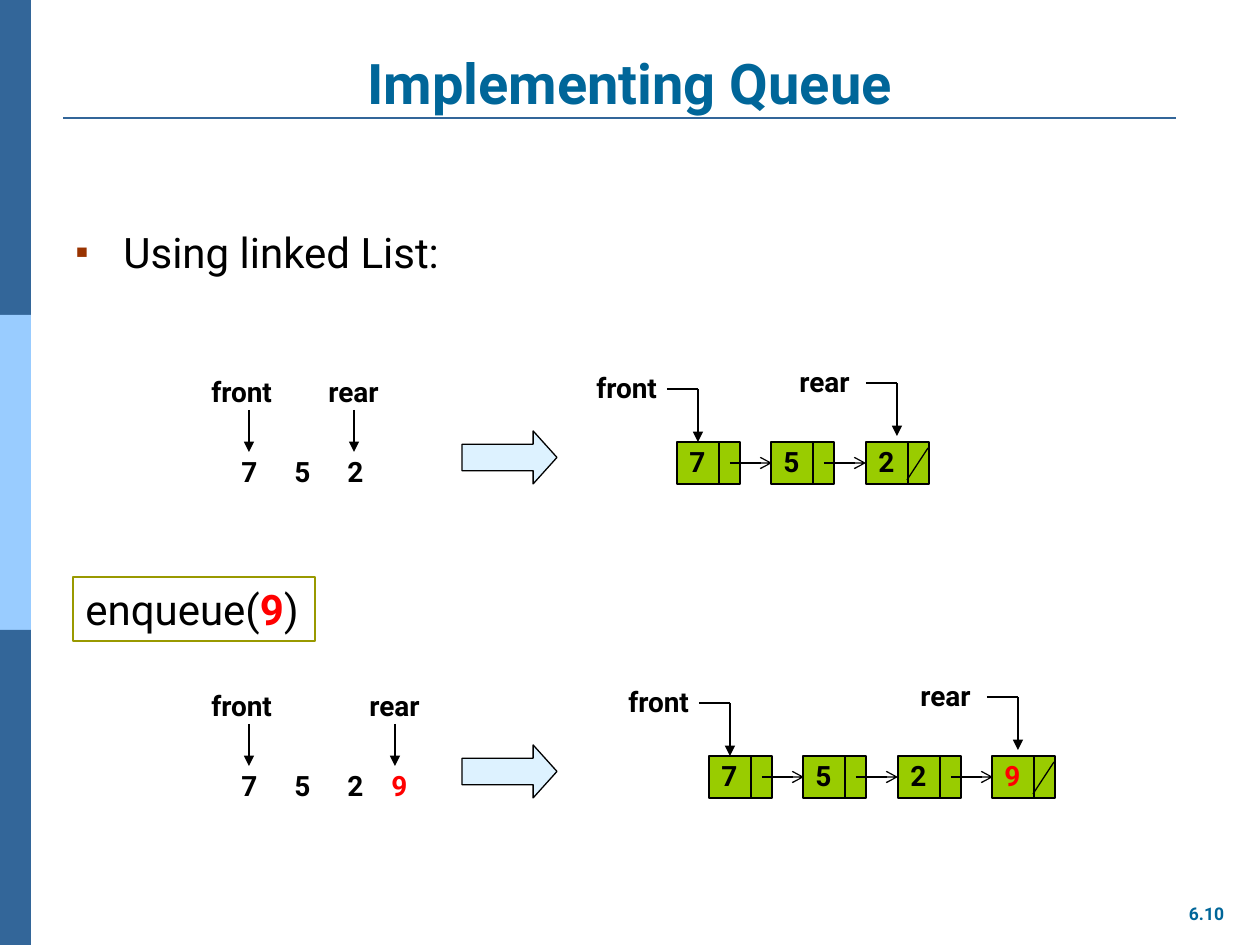
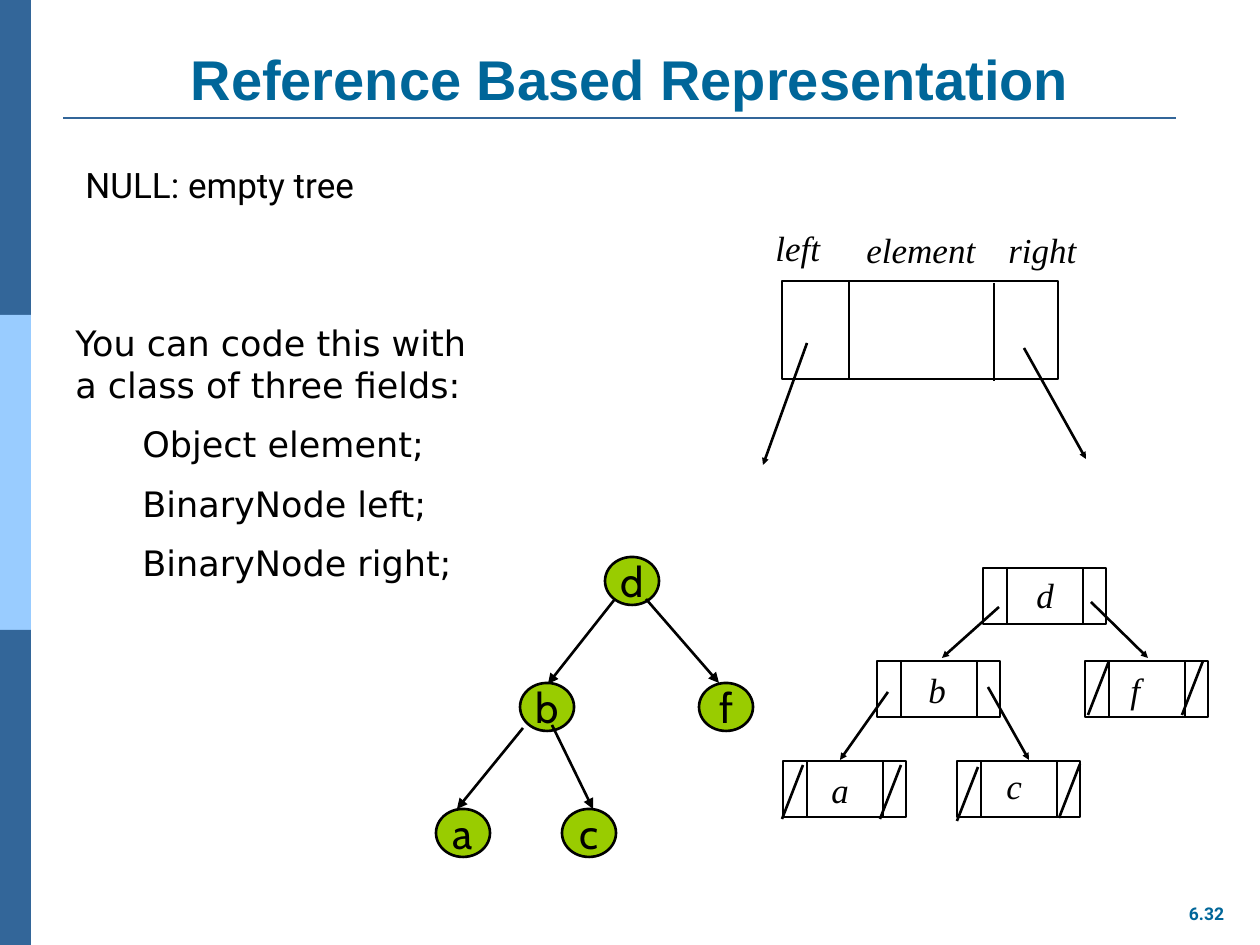
from dataclasses import dataclass
from lxml.etree import SubElement
from pptx import Presentation
from pptx.dml.color import RGBColor
from pptx.enum.shapes import MSO_CONNECTOR, MSO_SHAPE
from pptx.enum.text import MSO_ANCHOR, PP_ALIGN
from pptx.oxml.ns import qn
from pptx.util import Emu, Pt


@dataclass(frozen=True)
class Theme:
    navy: str = "336699"
    sky: str = "99CCFF"
    teal: str = "006699"
    green: str = "99CC00"
    olive: str = "999900"
    pale: str = "DDF2FF"
    rust: str = "993300"
    red: str = "FF0000"
    black: str = "000000"
    sans: str = "Roboto"
    plain: str = "Arial"
    serif: str = "Times New Roman"
    round: str = "Cabin"
    wide: str = "DejaVu Sans"
    title: int = 32
    body: int = 24
    note: int = 20
    label: int = 16
    page: int = 10
    thin: float = 0.75
    thick: float = 1.5


T = Theme()


def px(n):
    return Emu(round(n * 914400 / 126))


def rgb(code):
    return RGBColor.from_string(code)


def style(font, size, face=T.sans, color=T.black, bold=False, italic=False):
    font.size, font.name = Pt(size), face
    font.color.rgb = rgb(color)
    font.bold, font.italic = bold, italic


def text(slide, x, y, w, h, words, size, wrap=False, align=PP_ALIGN.LEFT,
         anchor=MSO_ANCHOR.TOP, **look):
    frame = slide.shapes.add_textbox(px(x), px(y), px(w), px(h)).text_frame
    frame.word_wrap = wrap
    frame.vertical_anchor = anchor
    para = frame.paragraphs[0]
    para.text, para.alignment = words, align
    style(para.font, size, **look)
    return frame


def shape(slide, kind, x, y, w, h, fill=None, line=T.black, width=T.thin):
    item = slide.shapes.add_shape(kind, px(x), px(y), px(w), px(h))
    item.shadow.inherit = False
    if fill:
        item.fill.solid()
        item.fill.fore_color.rgb = rgb(fill)
    else:
        item.fill.background()
    if line:
        item.line.color.rgb = rgb(line)
        item.line.width = Pt(width)
    else:
        item.line.fill.background()
    return item


def rule(slide, x1, y1, x2, y2, width=T.thin, color=T.black, head=None, size="med"):
    item = slide.shapes.add_connector(
        MSO_CONNECTOR.STRAIGHT, px(x1), px(y1), px(x2), px(y2))
    item.line.color.rgb = rgb(color)
    item.line.width = Pt(width)
    if head:
        SubElement(item.line._ln, qn("a:tailEnd"), type=head, w=size, len=size)
    SubElement(item._element.spPr, qn("a:effectLst"))


def rays(slide, x, y, ends, size):
    for x1, y1, x2, y2 in ends:
        rule(slide, x + x1, y + y1, x + x2, y + y2, T.thick, head="triangle", size=size)


def base(deck, title, page, top, high, face=T.sans):
    slide = deck.slides.add_slide(deck.slide_layouts[6])
    for i, color in enumerate((T.navy, T.sky, T.navy)):
        shape(slide, MSO_SHAPE.RECTANGLE, 0, 315 * i, 31, 315, color, None)
    rule(slide, 63, 118, 1176, 118, T.thick, T.navy)
    text(slide, 1176, 897, 61, 34, page, T.page, align=PP_ALIGN.CENTER,
         color=T.teal, bold=True)
    text(slide, 63, top, 1134, high, title, T.title, True, PP_ALIGN.CENTER,
         MSO_ANCHOR.BOTTOM, face=face, color=T.teal, bold=True)
    return slide


def bullet(slide, x, y, w, h, words):
    frame = slide.shapes.add_textbox(px(x), px(y), px(w), px(h)).text_frame
    frame.word_wrap = True
    para = frame.paragraphs[0]
    para.text = words
    props = para._p.get_or_add_pPr()
    props.set("marL", str(px(48)))
    props.set("indent", str(px(-48)))
    color = SubElement(props, qn("a:buClr"))
    SubElement(color, qn("a:srgbClr"), val=T.rust)
    SubElement(props, qn("a:buSzPct"), val="90000")
    SubElement(props, qn("a:buFont"), typeface=T.plain)
    SubElement(props, qn("a:buChar"), char="▪")
    style(para.font, T.body)


def label(slide, x, y, words, w=89):
    color = T.red if words == "9" else T.black
    text(slide, x, y, w, 47, words, T.label, color=color, bold=True)


def plain(slide, x, y, vals, rear):
    for word, left, w in (("front", 0, 89), ("rear", rear, 79)):
        label(slide, x + left, y, word, w)
    for tip in (50, rear + 38):
        rule(slide, x + tip, y + 42, x + tip, y + 84, head="triangle")
    for val, left in zip(vals, (30, 83, 136, 180)):
        label(slide, x + left, y + 80, val, 40)


def hook(slide, x, y, word, left, w):
    label(slide, x - left, y - 25, word, w)
    rule(slide, x - 31, y, x, y)
    rule(slide, x, y, x, y + 53, head="triangle")


def linked(slide, x, y, vals, bend):
    for i, val in enumerate(vals):
        left, top = x + 189 * i // 2, y + 74
        shape(slide, MSO_SHAPE.RECTANGLE, left, top, 63, 42, T.green)
        rule(slide, left + 42, top, left + 42, top + 42)
        label(slide, left, top - 4, val, 40)
        if i < len(vals) - 1:
            rule(slide, left + 53, top + 21, left + 95, top + 21, head="arrow")
    rule(slide, left + 62, top + 6, left + 41, top + 38)
    hook(slide, x + 21, y + 21, "front", 114, 89)
    hook(slide, left + bend, y + 15, "rear", 110, 79)


def stage(slide, y, vals, rear, start, bend):
    plain(slide, 199, y, vals, rear)
    arrow = shape(slide, MSO_SHAPE.RIGHT_ARROW, 462, y + 63, 95, 53, T.pale)
    arrow.adjustments[1] = 0.45
    linked(slide, start, y, vals, bend)


def call(slide, x, y, w, h):
    frame = shape(slide, MSO_SHAPE.RECTANGLE, x, y, w, h, line=T.olive).text_frame
    frame.word_wrap = False
    frame.vertical_anchor = MSO_ANCHOR.TOP
    para = frame.paragraphs[0]
    para.alignment = PP_ALIGN.LEFT
    for words, color, bold in (("enqueue(", T.black, False), ("9", T.red, True),
                               (")", T.black, False)):
        run = para.add_run()
        run.text = words
        style(run.font, T.body, color=color, bold=bold)


def queue(deck):
    slide = base(deck, "Implementing Queue", "6.10", 50, 72)
    bullet(slide, 63, 220, 462, 64, "Using linked List:")
    stage(slide, 368, "752", 117, 677, 31)
    call(slide, 73, 577, 242, 64)
    stage(slide, 682, "7529", 158, 709, 26)


def fields(slide, x, y, w, h):
    lines = ("You can code this with a class of three fields:",
             "Object element;", "BinaryNode left;", "BinaryNode right;")
    frame = text(slide, x, y, w, h, lines[0], T.note, True, face=T.wide)
    for line in lines[1:]:
        para = frame.add_paragraph()
        para.text = line
        para.space_before = Pt(10)
        para._p.get_or_add_pPr().set("marL", str(px(67)))
        style(para.font, T.note, T.wide)


def mark(slide, x, y, w, words):
    text(slide, x, y, w, 54, words, T.note, True, face=T.serif, italic=True)


def layout(slide, x, y):
    shape(slide, MSO_SHAPE.RECTANGLE, x, y, 276, 98, width=T.thick)
    for left, top in ((67, 0), (212, 2)):
        rule(slide, x + left, y + top, x + left, y + top + 98, T.thick)
    for word, left, top, w in (("left", -19, -61, 84), ("element", 72, -59, 140),
                               ("right", 214, -59, 100)):
        mark(slide, x + left, y + top, w, word)
    rays(slide, x, y, ((25, 62, -19, 184), (242, 67, 304, 178)), "sm")


def tree(slide, x, y):
    nodes = (("d", 169, 0), ("b", 84, 126), ("f", 263, 126),
             ("a", 0, 252), ("c", 126, 252))
    for name, left, top in nodes:
        node = shape(slide, MSO_SHAPE.OVAL, x + left, y + top, 54, 48,
                     T.green, width=T.thick)
        frame = node.text_frame
        frame.word_wrap = False
        frame.vertical_anchor = MSO_ANCHOR.MIDDLE
        para = frame.paragraphs[0]
        para.text, para.alignment = name, PP_ALIGN.CENTER
        style(para.font, T.body, T.round)
    rays(slide, x, y, ((179, 42, 112, 127), (210, 42, 283, 126),
                       (87, 171, 21, 252), (116, 168, 157, 252)), "med")


def cells(slide, x, y):
    nodes = (("d", 200, 0, 41, -1, ()),
             ("b", 94, 93, 39, 1, ()),
             ("f", 302, 93, 33, 1, ((24, 0), (118, 0))),
             ("a", 0, 193, 36, 1, ((20, 4), (118, 4))),
             ("c", 174, 193, 37, -3, ((21, 6), (123, 3))))
    for name, left, top, dx, dy, nulls in nodes:
        cx, cy = x + left, y + top
        shape(slide, MSO_SHAPE.RECTANGLE, cx, cy, 123, 56, width=T.thick)
        for split in (24, 100):
            rule(slide, cx + split, cy, cx + split, cy + 56, T.thick)
        for nx, ny in nulls:
            rule(slide, cx + nx, cy + ny, cx + nx - 21, cy + ny + 54, T.thick)
        mark(slide, cx + dx, cy + dy, 44, name)
    rays(slide, x, y, ((216, 39, 159, 90), (308, 34, 365, 90),
                       (105, 124, 57, 192), (205, 119, 246, 192)), "sm")


def binary(deck):
    slide = base(deck, "Reference Based Representation", "6.32", 38, 80, T.plain)
    text(slide, 73, 157, 1152, 54, "NULL: empty tree", T.note, True)
    layout(slide, 782, 281)
    tree(slide, 436, 557)
    cells(slide, 783, 568)
    fields(slide, 63, 315, 431, 286)


def main():
    deck = Presentation()
    deck.slide_width, deck.slide_height = px(1260), px(945)
    queue(deck)
    binary(deck)
    deck.save("out.pptx")


if __name__ == "__main__":
    main()
